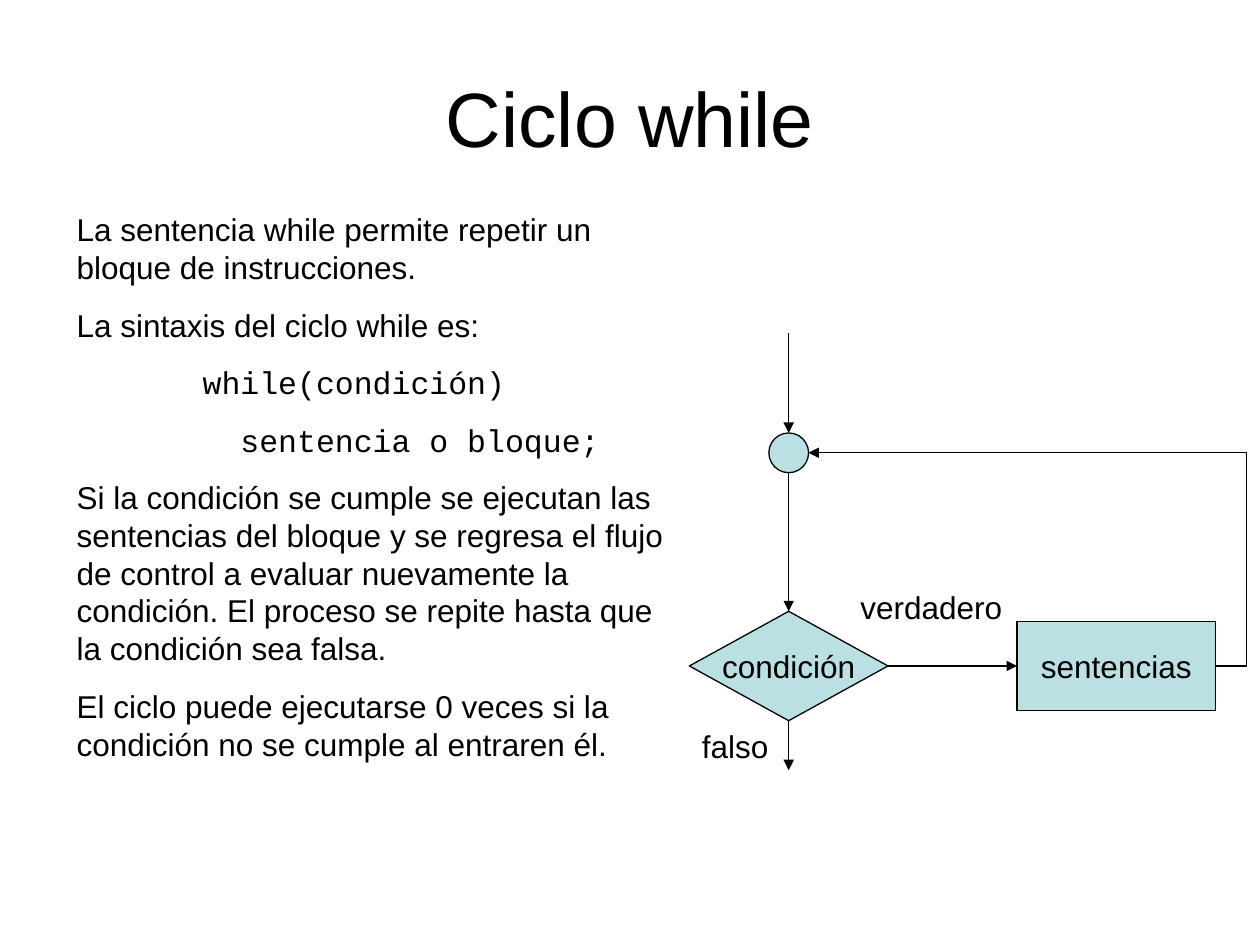
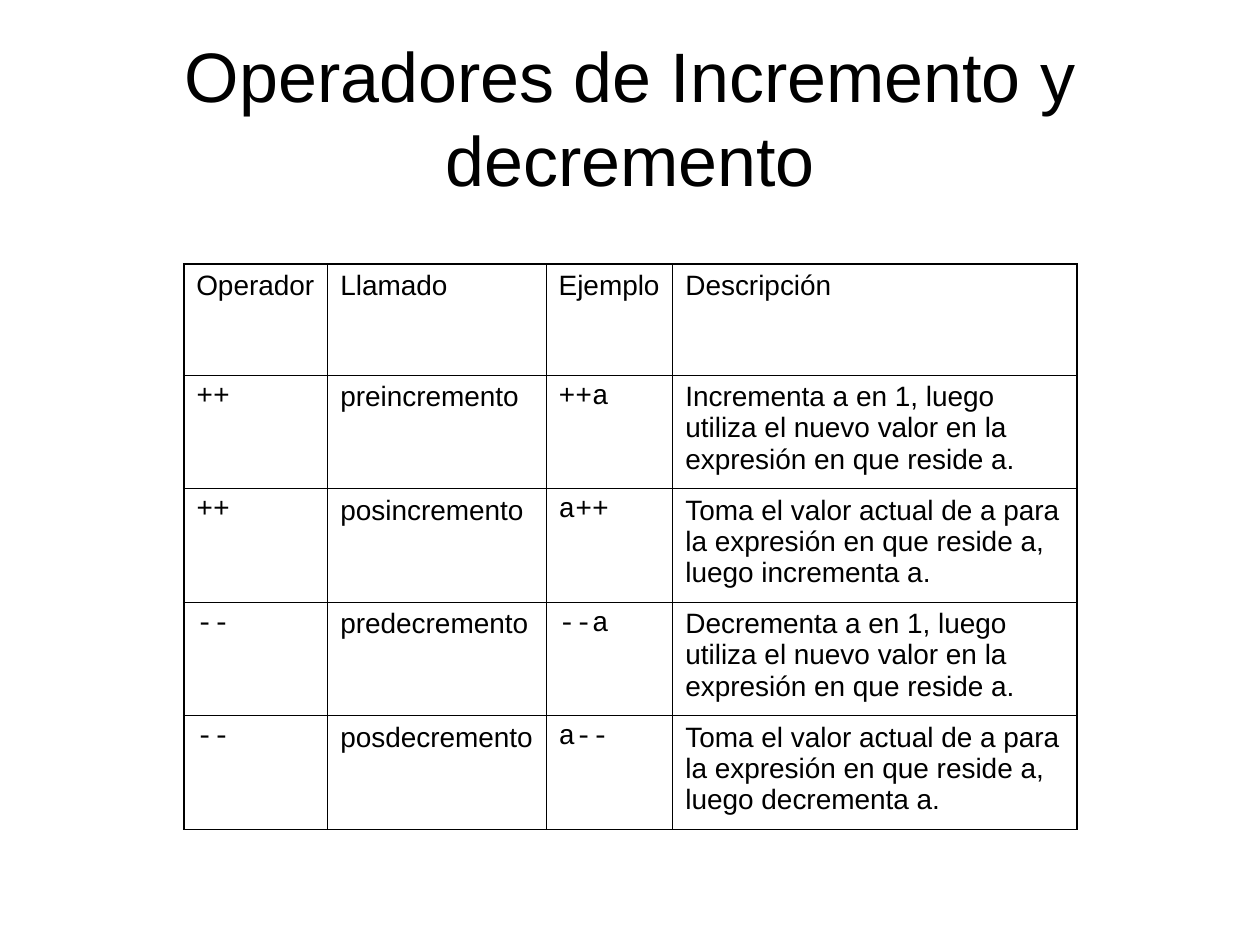
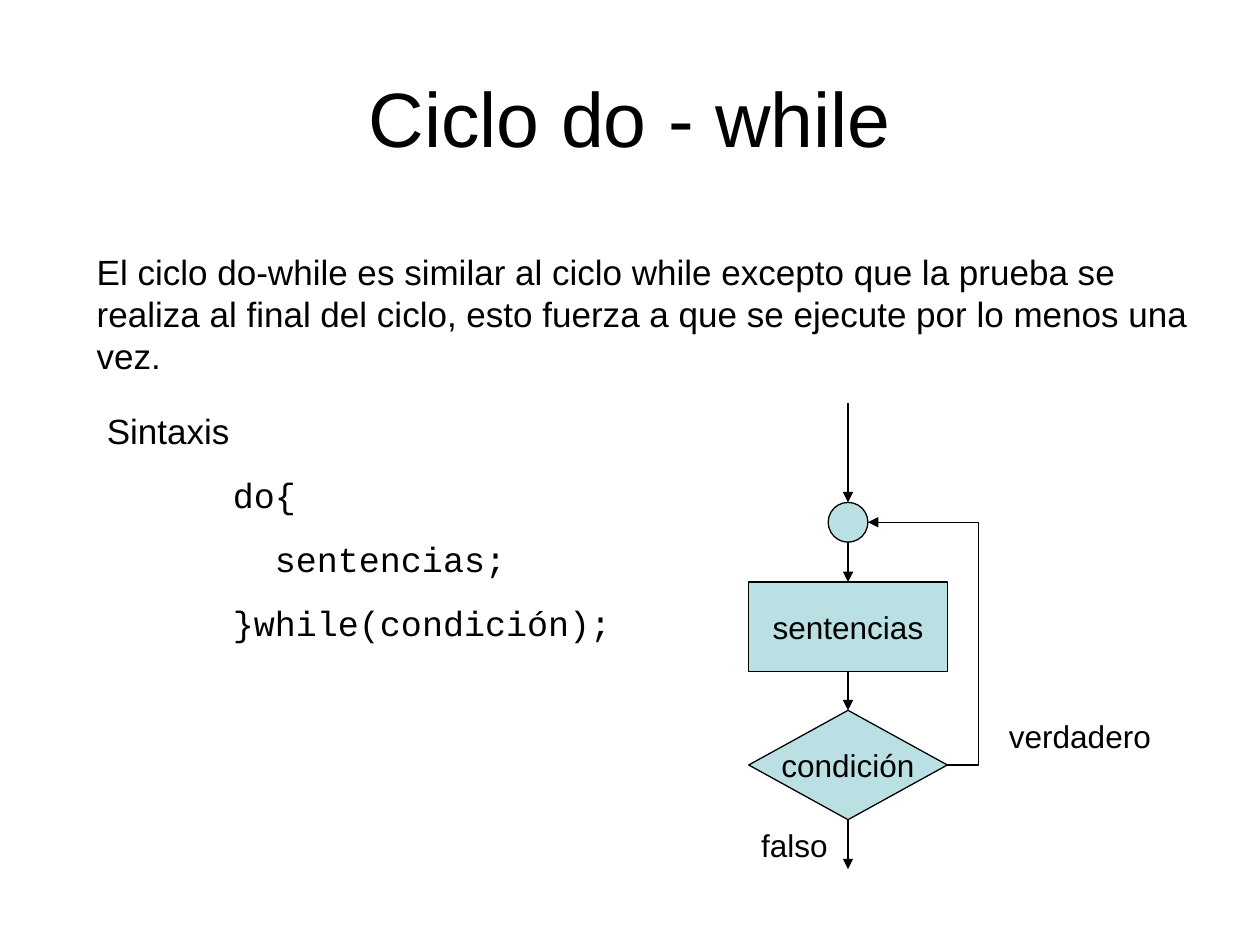
from lxml.etree import SubElement
from pptx import Presentation
from pptx.dml.color import RGBColor
from pptx.enum.shapes import MSO_CONNECTOR, MSO_SHAPE
from pptx.enum.text import MSO_ANCHOR, MSO_AUTO_SIZE, PP_ALIGN
from pptx.oxml.ns import qn
from pptx.util import Pt

BLACK, AQUA = "000000", "BBE0E3"
SANS, MONO = "Arial", "Courier New"
LINE_RATIO, TABLE_LINE_RATIO = 1.2, 1.11
LABEL_SIZE = 18
CODE_INDENT = 72

# Paragraphs are (text, code depth); depth 0 is prose, each further depth adds two characters.
WHILE_TEXT = [
    ("La sentencia while permite repetir un bloque de instrucciones.", 0),
    ("La sintaxis del ciclo while es:", 0),
    ("while(condición)", 1),
    ("sentencia o bloque;", 2),
    ("Si la condición se cumple se ejecutan las sentencias del bloque y se regresa "
     "el flujo de control a evaluar nuevamente la condición. El proceso se repite "
     "hasta que la condición sea falsa.", 0),
    ("El ciclo puede ejecutarse 0 veces si la condición no se cumple al entraren él.", 0),
]
DO_WHILE_TEXT = [
    ("El ciclo do-while es similar al ciclo while excepto que la prueba se realiza al "
     "final del ciclo, esto fuerza a que se ejecute por lo menos una vez.", 0),
]
DO_WHILE_SYNTAX = [
    ("Sintaxis", 0),
    ("do{", 1),
    ("sentencias;", 2),
    ("}while(condición);", 1),
]
OPERATORS = [
    ("Operador", "Llamado", "Ejemplo", "Descripción"),
    ("++", "preincremento", "++a",
     "Incrementa a en 1, luego utiliza el nuevo valor en la expresión en que reside a."),
    ("++", "posincremento", "a++",
     "Toma el valor actual de a para la expresión en que reside a, luego incrementa a."),
    ("--", "predecremento", "--a",
     "Decrementa a en 1, luego utiliza el nuevo valor en la expresión en que reside a."),
    ("--", "posdecremento", "a--",
     "Toma el valor actual de a para la expresión en que reside a, luego decrementa a."),
]
CODE_COLUMNS = (0, 2)
COLUMN_WIDTHS = (82.3, 124.8, 72.4, 230.8)
HEADER_HEIGHT, ROW_HEIGHT = 63.4, 64.9

DECISION_SIZE = (113.5, 62.5)
PROCESS_SIZE = (113.5, 51)
JOINT = 22.7
ENTRY_LENGTH, EXIT_LENGTH, LOOP_OVERHANG = 57, 28.3, 18


def color(value):
    return RGBColor.from_string(value)


def style(para, size, font=SANS, ratio=LINE_RATIO):
    para.font.name, para.font.size = font, Pt(size)
    para.font.color.rgb = color(BLACK)
    para.line_spacing = Pt(round(size * ratio, 1))


def add_page(deck, title, size=44):
    page = deck.slides.add_slide(deck.slide_layouts[5])
    box = page.shapes.title
    box.left, box.top, box.width, box.height = Pt(36), Pt(21.6), Pt(648), Pt(90)
    box.text_frame.text = title
    box.text_frame.vertical_anchor = MSO_ANCHOR.MIDDLE
    para = box.text_frame.paragraphs[0]
    para.alignment = PP_ALIGN.CENTER
    style(para, size)
    return page


def add_text(page, left, top, width, height, paragraphs, size=LABEL_SIZE):
    box = page.shapes.add_textbox(Pt(left), Pt(top), Pt(width), Pt(height))
    frame = box.text_frame
    frame.word_wrap = True
    frame.auto_size = MSO_AUTO_SIZE.SHAPE_TO_FIT_TEXT
    for index, (text, depth) in enumerate(paragraphs):
        para = frame.add_paragraph() if index else frame.paragraphs[0]
        para.text = text
        para.space_before = Pt(size * 0.625)
        style(para, size, MONO if depth else SANS)
        if depth:
            indent = CODE_INDENT + (depth - 1) * 1.2 * size
            properties = para._p.get_or_add_pPr()
            properties.set("marL", str(Pt(indent)))
            properties.set("indent", "0")


def add_node(page, kind, center_x, top, size, text=""):
    width, height = size
    node = page.shapes.add_shape(kind, Pt(center_x - width / 2), Pt(top), Pt(width), Pt(height))
    node.shadow.inherit = False
    node.fill.solid()
    node.fill.fore_color.rgb = color(AQUA)
    node.line.color.rgb = color(BLACK)
    node.line.width = Pt(0.75)
    if text:
        frame = node.text_frame
        frame.text = text
        frame.word_wrap = False
        frame.vertical_anchor = MSO_ANCHOR.MIDDLE
        frame.paragraphs[0].alignment = PP_ALIGN.CENTER
        style(frame.paragraphs[0], LABEL_SIZE)
    return node


def add_arrow(page, start, end, source=None, target=None, kind=MSO_CONNECTOR.STRAIGHT):
    """Draw an arrow between points; source and target are optional (node, side) joints."""
    arrow = page.shapes.add_connector(kind, *(Pt(value) for value in (*start, *end)))
    if source:
        arrow.begin_connect(*source)
    if target:
        arrow.end_connect(*target)
    arrow.line.color.rgb = color(BLACK)
    arrow.line.width = Pt(0.75)
    SubElement(arrow.line._get_or_add_ln(), qn("a:tailEnd"), type="triangle")
    SubElement(arrow._element.spPr, qn("a:effectLst"))
    return arrow


def add_loop(page, start, end):
    """Draw the return arrow, which runs past its start before turning back."""
    arrow = add_arrow(page, start, end, kind=MSO_CONNECTOR.ELBOW)
    share = round(-LOOP_OVERHANG / (start[0] - end[0]) * 100000)
    guides = arrow._element.spPr.find(qn("a:prstGeom")).get_or_add_avLst()
    SubElement(guides, qn("a:gd"), name="adj1", fmla=f"val {share}")


def add_flowchart(page, axis, joint_top, decision_top, process_center, process_top, true_label):
    """Draw a loop; the process stands on the axis (do-while) or beside it (while)."""
    decision = add_node(page, MSO_SHAPE.FLOWCHART_DECISION, axis, decision_top,
                        DECISION_SIZE, "condición")
    process = add_node(page, MSO_SHAPE.FLOWCHART_PROCESS, process_center, process_top,
                       PROCESS_SIZE, "sentencias")
    add_node(page, MSO_SHAPE.OVAL, axis, joint_top, (JOINT, JOINT))

    joint_bottom = joint_top + JOINT
    joint_right = (axis + JOINT / 2, joint_top + JOINT / 2)
    decision_left = axis - DECISION_SIZE[0] / 2
    decision_right = (axis + DECISION_SIZE[0] / 2, decision_top + DECISION_SIZE[1] / 2)
    decision_bottom = decision_top + DECISION_SIZE[1]
    process_right = (process_center + PROCESS_SIZE[0] / 2, process_top + PROCESS_SIZE[1] / 2)

    add_arrow(page, (axis, joint_top - ENTRY_LENGTH), (axis, joint_top))
    add_arrow(page, (axis, decision_bottom), (axis, decision_bottom + EXIT_LENGTH),
              source=(decision, 3 - 1))
    if process_center == axis:
        add_arrow(page, (axis, joint_bottom), (axis, process_top), target=(process, 0))
        add_arrow(page, (axis, process_top + PROCESS_SIZE[1]), (axis, decision_top),
                  source=(process, 2), target=(decision, 0))
        add_loop(page, decision_right, joint_right)
    else:
        add_arrow(page, (axis, joint_bottom), (axis, decision_top), target=(decision, 0))
        add_arrow(page, decision_right, (process_center - PROCESS_SIZE[0] / 2, decision_right[1]),
                  source=(decision, 3), target=(process, 1))
        add_loop(page, process_right, joint_right)
    add_text(page, *true_label, 96.5, 28.8, [("verdadero", 0)])
    add_text(page, decision_left, decision_bottom, 108, 28.8, [("falso", 0)])


def set_borders(cell, outer_sides):
    properties = cell._tc.get_or_add_tcPr()
    for position, side in enumerate("LRTB"):
        width = 1.08 if side in outer_sides else 0.45
        border = properties.makeelement(qn(f"a:ln{side}"), {"w": str(Pt(width))})
        SubElement(SubElement(border, qn("a:solidFill")), qn("a:srgbClr"), val=BLACK)
        properties.insert(position, border)


def add_operator_table(page, left, top):
    last_row, last_column = len(OPERATORS) - 1, len(COLUMN_WIDTHS) - 1
    height = HEADER_HEIGHT + last_row * ROW_HEIGHT
    table = page.shapes.add_table(last_row + 1, last_column + 1, Pt(left), Pt(top),
                                  Pt(sum(COLUMN_WIDTHS)), Pt(height)).table
    table.first_row = table.horz_banding = False
    for column, width in zip(table.columns, COLUMN_WIDTHS):
        column.width = Pt(width)
    for row_index, texts in enumerate(OPERATORS):
        table.rows[row_index].height = Pt(ROW_HEIGHT if row_index else HEADER_HEIGHT)
        for column_index, text in enumerate(texts):
            cell = table.cell(row_index, column_index)
            cell.fill.background()
            cell.text = text
            para = cell.text_frame.paragraphs[0]
            para.space_before = Pt(4)
            is_code = row_index > 0 and column_index in CODE_COLUMNS
            style(para, 16, MONO if is_code else SANS, TABLE_LINE_RATIO)
            edges = {"L": column_index == 0, "R": column_index == last_column,
                     "T": row_index == 0, "B": row_index == last_row}
            set_borders(cell, [side for side, is_outer in edges.items() if is_outer])


def main():
    deck = Presentation()
    deck.slide_width, deck.slide_height = Pt(720), Pt(540)

    page = add_page(deck, "Ciclo while")
    add_text(page, 36.7, 116.6, 351.4, 322.6, WHILE_TEXT)
    add_flowchart(page, axis=450.7, joint_top=247.4, decision_top=349.3,
                  process_center=637.9, process_top=355.05, true_label=(484.6, 332.6))

    page = add_page(deck, "Operadores de Incremento y decremento", 40)
    add_operator_table(page, 105, 151)

    page = add_page(deck, "Ciclo do - while")
    add_text(page, 48.2, 139.7, 640.8, 79.2, DO_WHILE_TEXT, 20)
    add_flowchart(page, axis=484.6, joint_top=287.1, decision_top=405.9,
                  process_center=484.6, process_top=332.6, true_label=(569.5, 406))
    add_text(page, 54, 230.4, 362.9, 141, DO_WHILE_SYNTAX, 20)

    deck.save("out.pptx")


if __name__ == "__main__":
    main()
